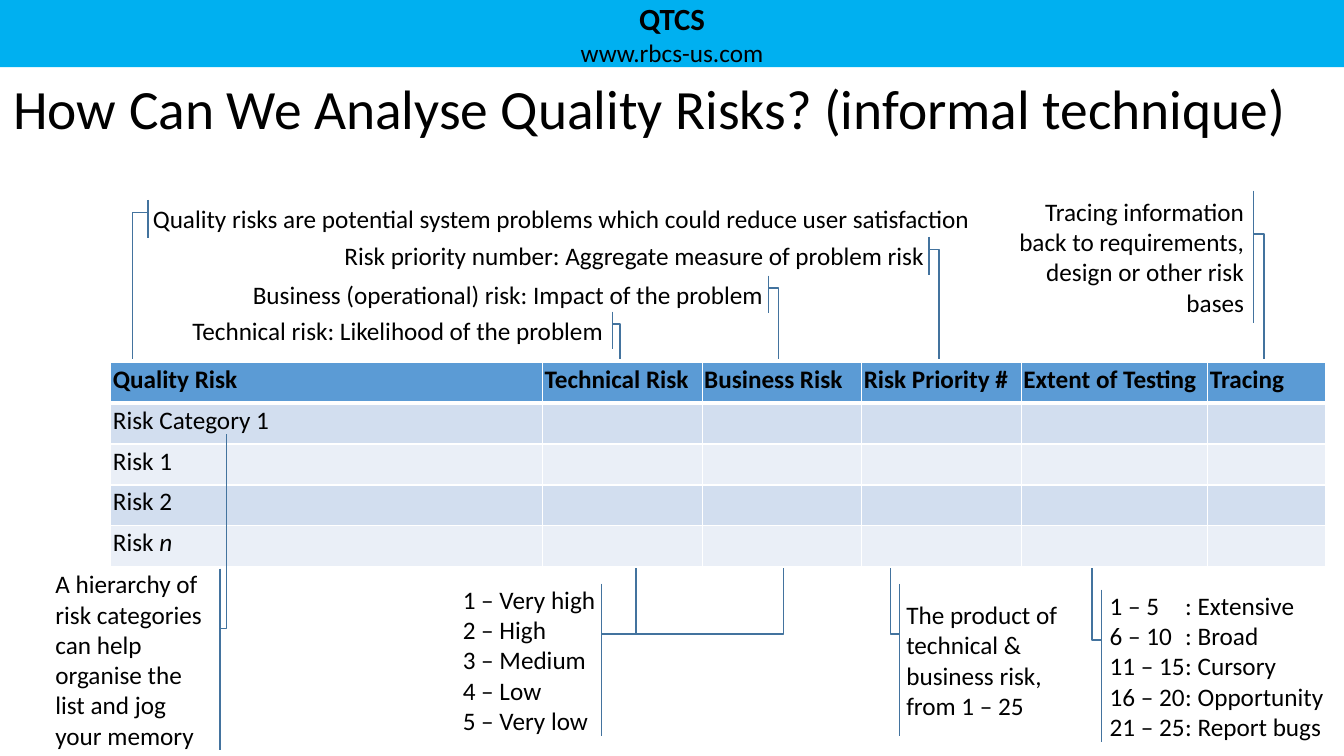
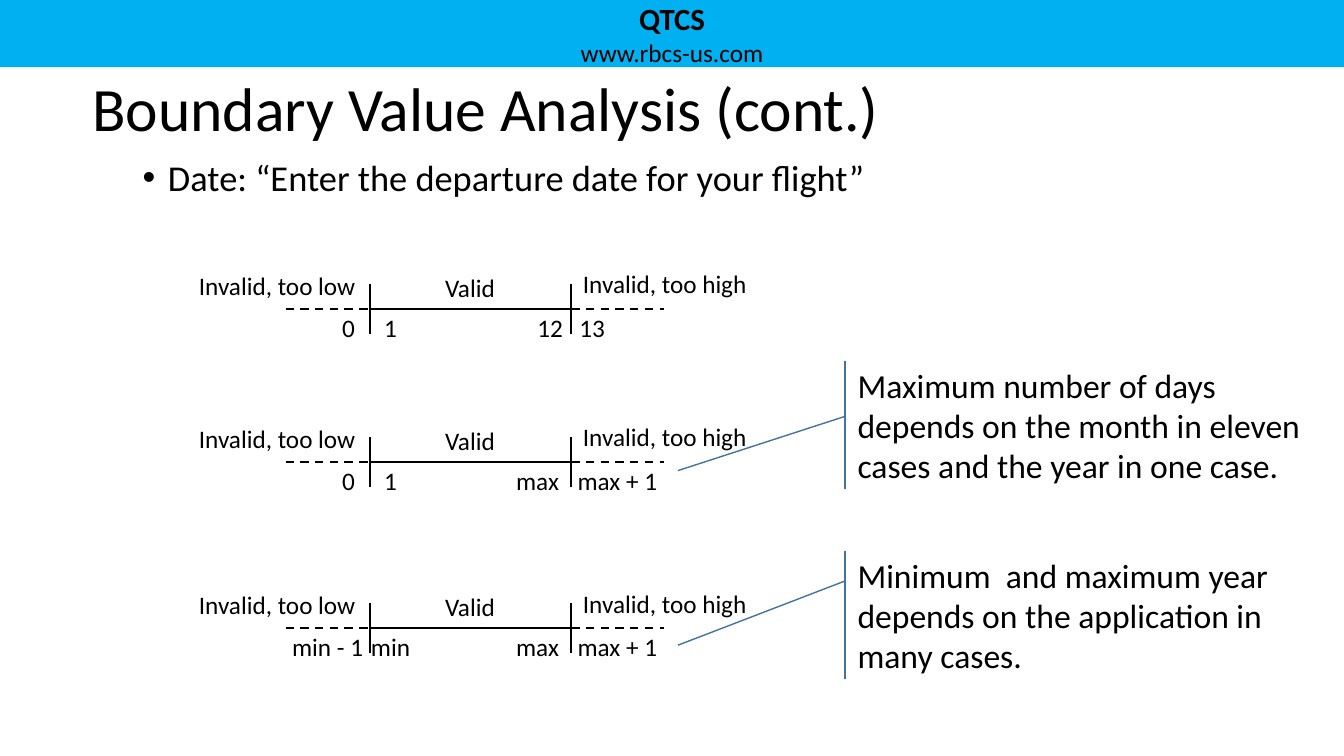
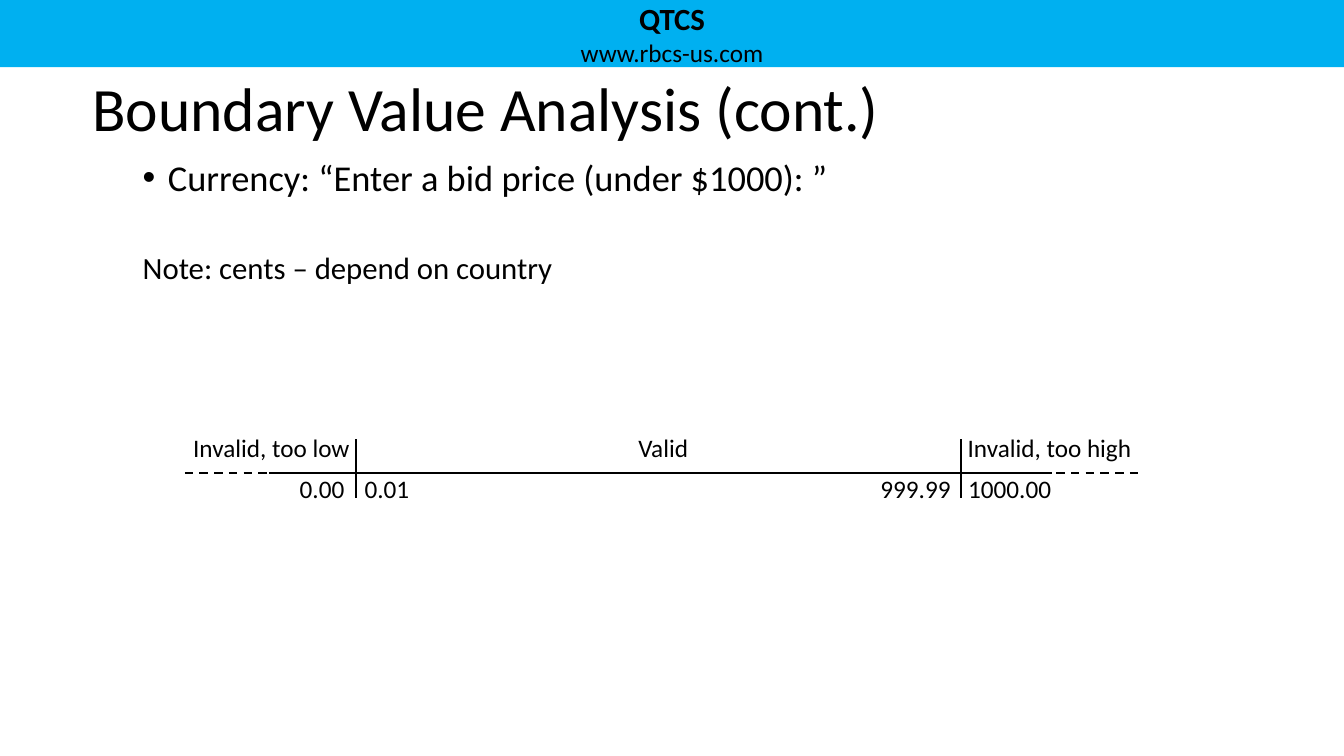
from dataclasses import dataclass

from lxml.etree import SubElement
from pptx import Presentation
from pptx.dml.color import RGBColor
from pptx.enum.dml import MSO_LINE
from pptx.enum.shapes import MSO_CONNECTOR, MSO_SHAPE
from pptx.enum.text import MSO_ANCHOR as ANCHOR, PP_ALIGN as ALIGN
from pptx.oxml.ns import qn
from pptx.util import Emu, Inches, Pt

COLUMNS, ROWS = 160, 90
CELL = Inches(7.5) / ROWS


@dataclass(frozen=True)
class Theme:
    font: str = "Calibri"
    ink: str = "000000"
    band: str = "00B0F0"
    callout: str = "43739E"
    header: str = "5B9BD5"
    odd: str = "D2DEEF"
    even: str = "EAEFF7"
    border: str = "FFFFFF"
    title: float = 44
    long_title: float = 39.6
    lead: float = 26
    remark: float = 24
    note: float = 22
    label: float = 18
    axis_width: float = 1.5
    thin: float = 1
    thick: float = 3


THEME = Theme()


@dataclass
class Para:
    text: str
    size: float = THEME.label
    align: ALIGN = ALIGN.LEFT
    bold: bool = False
    italic_end: str = ""
    margin: float = 0
    hang: float = 0
    bullet: str = ""
    before: float = 0
    spacing: float = 1


def grid(cells):
    return Emu(round(cells * CELL))


def place(box):
    return [grid(length) for length in box]


def color(code):
    return RGBColor.from_string(code)


def apply(target, values):
    for name, value in values.items():
        setattr(target, name, value)


def margins(left=0, top=0, right=0, bottom=0):
    return {
        "margin_left": grid(left),
        "margin_top": grid(top),
        "margin_right": grid(right),
        "margin_bottom": grid(bottom),
    }


def write(frame, paras):
    for index, para in enumerate(paras):
        line = frame.add_paragraph() if index else frame.paragraphs[0]
        apply(line, {"alignment": para.align, "line_spacing": para.spacing})
        if para.before:
            line.space_before = Pt(para.before)
        if para.margin:
            props = line._p.get_or_add_pPr()
            props.set("marL", str(grid(para.margin)))
            props.set("indent", str(grid(-para.hang)))
            if para.bullet:
                SubElement(props, qn("a:buFont")).set("typeface", "Arial")
                SubElement(props, qn("a:buChar")).set("char", para.bullet)
        for text, italic in ((para.text, False), (para.italic_end, True)):
            if text:
                run = line.add_run()
                run.text = text
                apply(run.font, {
                    "name": THEME.font,
                    "size": Pt(para.size),
                    "bold": para.bold,
                    "italic": italic,
                })
                run.font.color.rgb = color(THEME.ink)


def text_block(slide, box, paras, anchor=ANCHOR.TOP, inset_top=0):
    frame = slide.shapes.add_textbox(*place(box)).text_frame
    apply(frame, {"word_wrap": True, "vertical_anchor": anchor, **margins(top=inset_top)})
    write(frame, paras)


def header_band(slide, box):
    band = slide.shapes.add_shape(MSO_SHAPE.RECTANGLE, *place(box))
    band.shadow.inherit = False
    band.fill.solid()
    band.fill.fore_color.rgb = color(THEME.band)
    band.line.fill.background()
    apply(band.text_frame, {
        "word_wrap": True,
        "vertical_anchor": ANCHOR.TOP,
        **margins(left=1.2, right=1.2),
    })
    write(band.text_frame, [
        Para("QTCS", THEME.note, ALIGN.CENTER, bold=True),
        Para("www.rbcs-us.com", THEME.label, ALIGN.CENTER),
    ])


def new_slide(deck, title, left=11, size=THEME.title):
    slide = deck.slides.add_slide(deck.slide_layouts[6])
    header_band(slide, (0, 0, COLUMNS, 8))
    text_block(slide, (left, 7, COLUMNS - left - min(left, 11), 12),
               [Para(title, size, spacing=0.9)], ANCHOR.MIDDLE, 0.6)
    return slide


def lead_text(slide, text, *more):
    text_block(slide, (11, 19, 138, 69), [
        Para(text, THEME.lead, margin=9, hang=3, bullet="•", spacing=0.9), *more])


def callout(slide, box, points, paras=()):
    left, top, width, height = box
    kind = {
        2: MSO_SHAPE.LINE_CALLOUT_1_ACCENT_BAR,
        3: MSO_SHAPE.LINE_CALLOUT_2_ACCENT_BAR,
    }[len(points)]
    shape = slide.shapes.add_shape(kind, *place(box))
    for index, (column, row) in enumerate(points):
        shape.adjustments[2 * index] = (row - top) / height
        shape.adjustments[2 * index + 1] = (column - left) / width
    shape.shadow.inherit = False
    shape.fill.background()
    shape.line.color.rgb = color(THEME.callout)
    shape.line.width = Pt(THEME.thin)
    apply(shape.text_frame, {
        "word_wrap": True,
        "vertical_anchor": ANCHOR.MIDDLE,
        **margins(0.1, 0.1, 0.1, 0.1),
    })
    write(shape.text_frame, paras)


def elbow_callout(slide, box, paras, on_right, bar, elbow, tip_row):
    left, top, width, height = box
    bar_column, elbow_column = (
        left + width + gap if on_right else left - gap for gap in (bar, elbow))
    bend = top + 0.33 * height
    callout(slide, box, [(bar_column, bend), (elbow_column, bend), (elbow_column, tip_row)], paras)


def border(cell, side, width):
    line = SubElement(cell._tc.get_or_add_tcPr(), qn(f"a:ln{side}"), w=str(Pt(width)))
    fill = SubElement(line, qn("a:solidFill"))
    SubElement(fill, qn("a:srgbClr")).set("val", THEME.border)


def risk_table(slide, left, top, widths, row_height, headings, risks):
    rows = [[Para(text, bold=True) for text in headings]] + [[risk] for risk in risks]
    table = slide.shapes.add_table(
        len(rows), len(widths),
        *place((left, top, sum(widths), row_height * len(rows)))).table
    for column, width in zip(table.columns, widths):
        column.width = grid(width)
    for r, paras in enumerate(rows):
        table.rows[r].height = grid(row_height)
        shade = THEME.header if r == 0 else (THEME.even, THEME.odd)[r % 2]
        for c, cell in enumerate(table.rows[r].cells):
            apply(cell, margins(0.25, 0.25, 0.25, 0.25))
            for side in "LRTB":
                at_header = (r, side) in ((0, "B"), (1, "T"))
                border(cell, side, THEME.thick if at_header else THEME.thin)
            cell.fill.solid()
            cell.fill.fore_color.rgb = color(shade)
            write(cell.text_frame, paras[c:c + 1])


def stroke(slide, start, end, dashed=False):
    line = slide.shapes.add_connector(MSO_CONNECTOR.STRAIGHT, *place((*start, *end)))
    line.line.color.rgb = color(THEME.ink)
    line.line.width = Pt(THEME.axis_width)
    if dashed:
        line.line.dash_style = MSO_LINE.DASH
    SubElement(line._element.spPr, qn("a:effectLst"))


def number_line(slide, left, row, solid, dashes, ticks, rise, labels):
    for (start, end), dashed in [(solid, False), *((dash, True) for dash in dashes)]:
        stroke(slide, (left + start, row), (left + end, row), dashed)
    for tick in ticks:
        stroke(slide, (left + tick, row - rise), (left + tick, row + 3))
    for text, column, offset, width, align in labels:
        text_block(slide, (left + column, row + offset, width, 3.6), [Para(text, align=align)])


def risk_analysis(deck):
    slide = new_slide(deck, "How Can We Analyse Quality Risks? (informal technique)",
                      1.6, THEME.long_title)
    top, row_height = 43.1, 4.88
    above, below = top - 0.4, top + 5 * row_height + 0.1
    risk_table(
        slide, 13.2, top, [51.4, 19, 19, 19, 22.2, 14], row_height,
        ["Quality Risk", "Technical Risk", "Business Risk", "Risk Priority #",
         "Extent of Testing", "Tracing"],
        [Para("Risk Category 1"), Para("Risk 1"), Para("Risk 2"), Para("Risk ", italic_end="n")])
    scale = ["1 – Very high", "2 – High", "3 – Medium", "4 – Low", "5 – Very low"]
    extents = [("1 – 5", "Extensive"), ("6 – 10", "Broad"), ("11 – 15", "Cursory"),
               ("16 – 20", "Opportunity"), ("21 – 25", "Report bugs")]
    for box, paras, on_right, bar, elbow, tip_row in [
        ((18.1, 23.8, 99.4, 4.5),
         [Para("Quality risks are potential system problems which could reduce user satisfaction")],
         False, 0.5, 2.3, above),
        ((40.9, 28.2, 69.4, 4.5),
         [Para("Risk priority number: Aggregate measure of problem risk")],
         True, 0.3, 1.5, above),
        ((30, 32.8, 61.2, 4.5),
         [Para("Business (operational) risk: Impact of the problem")],
         True, 0.3, 1.5, above),
        ((22.8, 37.1, 49.8, 4.5),
         [Para("Technical risk: Likelihood of the problem")],
         True, 0.3, 1.2, above),
        ((120.2, 22.7, 28, 15.7),
         [Para("Tracing information back to requirements, design or other risk bases",
               align=ALIGN.RIGHT)],
         True, 1, 2.3, above),
        ((6.5, 67.7, 19, 21.6),
         [Para("A hierarchy of risk categories can help organise the list and jog your memory")],
         True, 0.7, 1.5, top + 1.75 * row_height),
        ((55, 69.5, 19, 18.1), [Para(text) for text in scale], True, -2.4, 1.7, below),
        ((132, 70.2, 25.8, 18.1),
         [Para("\t: ".join(extent), margin=9, hang=9) for extent in extents],
         False, 0.9, 2, below),
        ((107.8, 69.5, 20.4, 18.1),
         [Para("The product of technical & business risk, from 1 – 25")],
         False, 0.7, 1.8, below),
        ((72.6, 69.5, 19, 18.1), [], True, -20, 1.7, below),
    ]:
        elbow_callout(slide, box, paras, on_right, bar, elbow, tip_row)


def date_boundaries(deck):
    slide = new_slide(deck, "Boundary Value Analysis (cont.)")
    lead_text(slide, "Date: “Enter the departure date for your flight”")
    low, high = 22, 46
    for row, bounds in [
        (36.8, [("0", 5), ("1", 5), ("12", 5), ("13", 5)]),
        (55, [("0", 5), ("1", 5), ("max", 8), ("max + 1", 11)]),
        (74.8, [("min - 1", 10), ("min", 5), ("max", 8), ("max + 1", 11)]),
    ]:
        below, first, last, over = bounds
        labels = [
            ("Invalid, too low", 0, -4.6, 20.3, ALIGN.RIGHT),
            ("Valid", 31, -4.4, 7, ALIGN.LEFT),
            ("Invalid, too high", 47.4, -4.8, 25.7, ALIGN.LEFT),
        ]
        for (text, width), column in [
            (below, low - below[1]), (first, low), (last, high - last[1]), (over, high),
        ]:
            labels.append((text, column, 0.4, width, ALIGN.CENTER))
        number_line(slide, 22, row, (low, high), [(12, 23), (high, 57)], (low, high), 3, labels)
    for top, start, end, text in [
        (43, 6.57, 13.03,
         "Maximum number of days depends on the month in eleven cases and the year in one case."),
        (65.6, 3.57, 11.22,
         "Minimum  and maximum year depends on the application in many cases."),
    ]:
        callout(slide, (102, top, 54, 15.2), [(100.6, top + start), (80.7, top + end)],
                [Para(text, THEME.remark)])


def currency_boundaries(deck):
    slide = new_slide(deck, "Boundary Value Analysis (cont.)")
    lead_text(slide, "Currency: “Enter a bid price (under $1000): ”",
              Para("Note: cents – depend on country", THEME.note,
                   margin=9, hang=3, before=38.6, spacing=0.9))
    number_line(
        slide, 22, 56.3, (10, 103.2), [(0, 12), (102, 114)], (20.4, 92.4), 4, [
            ("Valid", 54, -4.8, 7, ALIGN.LEFT),
            ("Invalid, too low", 1, -4.8, 20, ALIGN.LEFT),
            ("Invalid, too high", 93.2, -4.8, 21, ALIGN.LEFT),
            ("0.00", 11, 0, 8, ALIGN.RIGHT),
            ("0.01", 21.4, 0, 8, ALIGN.LEFT),
            ("999.99", 82, 0, 10, ALIGN.CENTER),
            ("1000.00", 93.2, 0, 10, ALIGN.CENTER),
        ])


def main():
    deck = Presentation()
    apply(deck, {"slide_width": grid(COLUMNS), "slide_height": grid(ROWS)})
    for build in (risk_analysis, date_boundaries, currency_boundaries):
        build(deck)
    deck.save("out.pptx")


if __name__ == "__main__":
    main()
